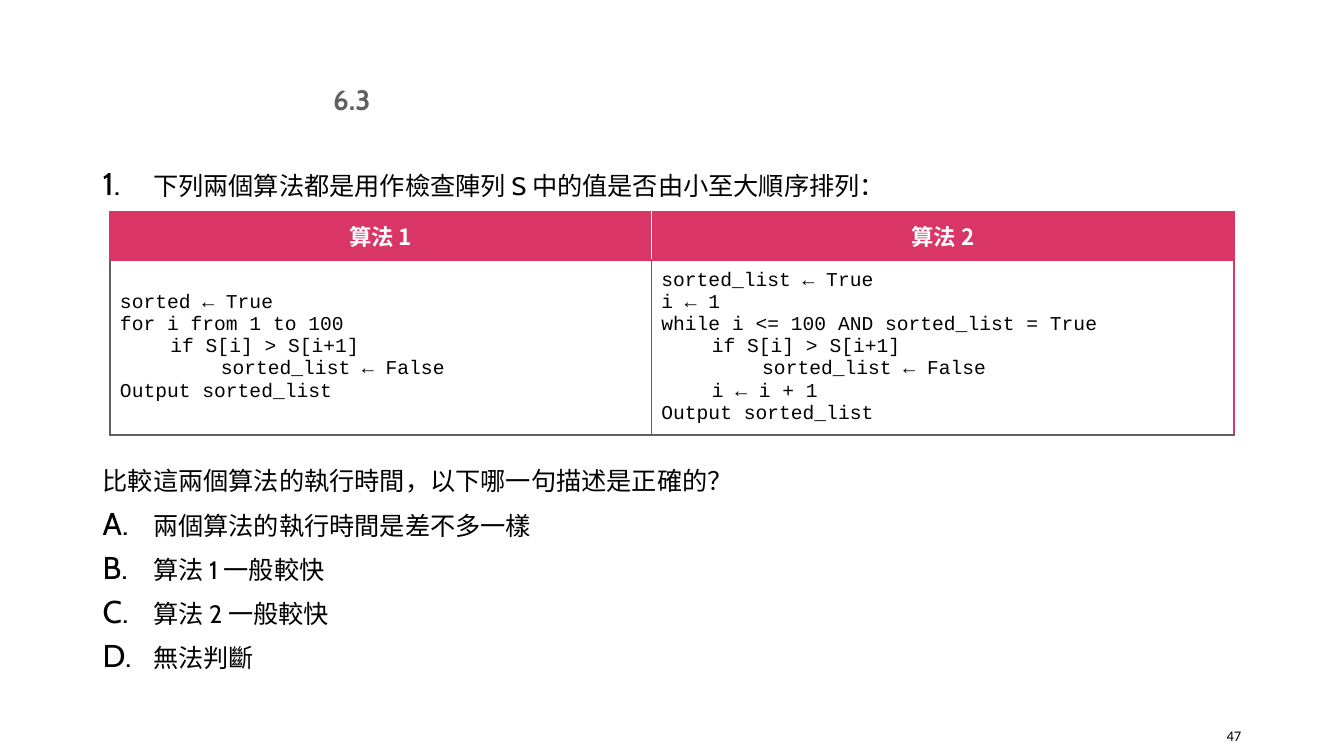
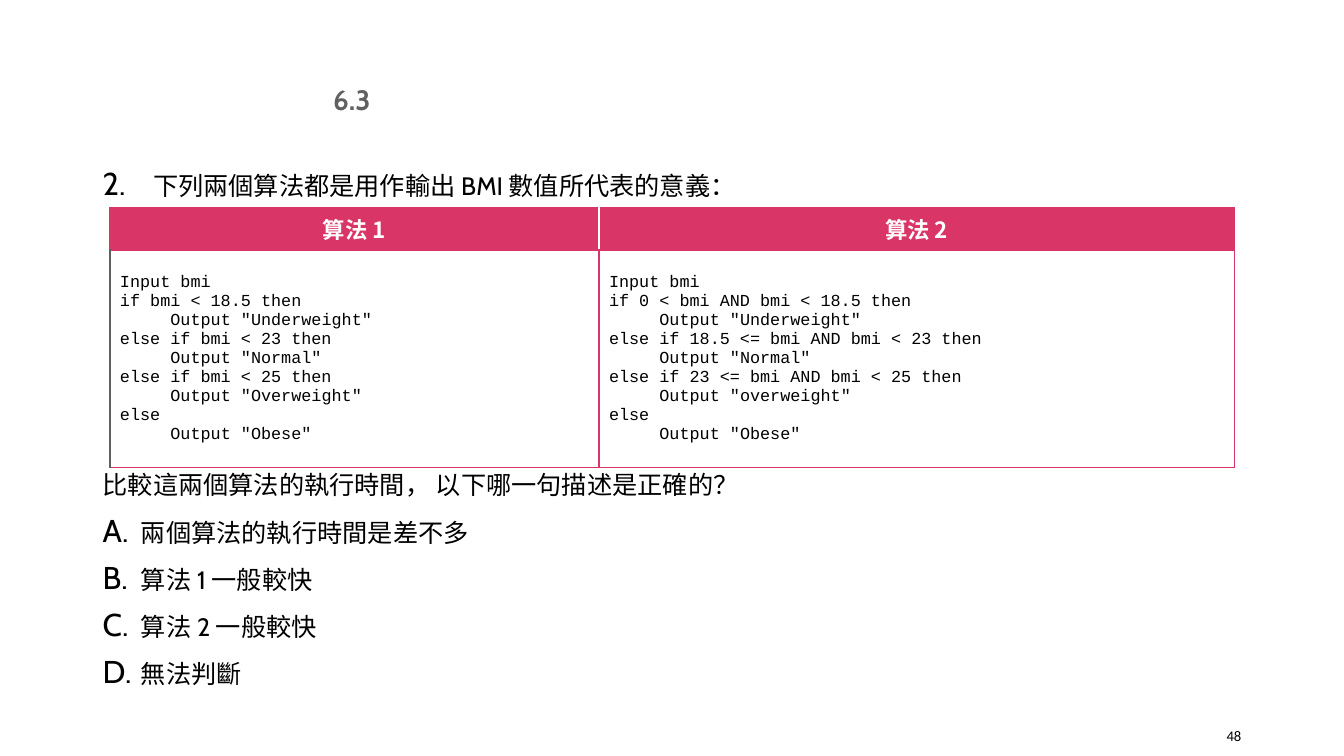
from dataclasses import dataclass

from lxml import etree
from pptx import Presentation
from pptx.dml.color import RGBColor
from pptx.enum import text as text_enum
from pptx.oxml import ns
from pptx.util import Inches, Pt

PINK, GREY, BLACK, WHITE = "D93567", "606060", "000000", "FFFFFF"
BODY_FONT, CODE_FONT, NUMBER_FONT = "Cabin", "Courier New", "Calibri"
CJK_FONT = "Noto Sans CJK TC"
SECTION = "6.3"
HEADINGS = ("算法 1", "算法 2")
ALIGN = text_enum.PP_ALIGN
MIDDLE = text_enum.MSO_ANCHOR.MIDDLE
TEXT_LEFT, TEXT_WIDTH = 0.92, 11.5
TABLE_LEFT = 1.09


@dataclass
class Question:
    number: int
    page: int
    stem: str
    prompt: str
    options: list[str]
    code: tuple[str, str]
    code_size: float
    table_top: float
    columns: tuple[float, float]
    rows: tuple[float, float]
    middle_color: str
    bottom_color: str
    prompt_top: float
    option_indent: float
    option_spacing: float


QUESTIONS = [
    Question(
        number=1, page=47,
        stem="下列兩個算法都是用作檢查陣列 S 中的值是否由小至大順序排列：",
        prompt="比較這兩個算法的執行時間，以下哪一句描述是正確的？",
        options=["兩個算法的執行時間是差不多一樣", "算法 1 一般較快",
                 "算法 2 一般較快", "無法判斷"],
        code=("""sorted ← True
for i from 1 to 100
\tif S[i] > S[i+1]
\t\tsorted_list ← False
Output sorted_list""",
              """sorted_list ← True
i ← 1
while i <= 100 AND sorted_list = True
\tif S[i] > S[i+1]
\t\tsorted_list ← False
\ti ← i + 1
Output sorted_list"""),
        code_size=14, table_top=2.1, columns=(5.37, 5.78), rows=(0.48, 1.67),
        middle_color=GREY, bottom_color=GREY,
        prompt_top=4.57, option_indent=0.5, option_spacing=1.0,
    ),
    Question(
        number=2, page=48,
        stem="下列兩個算法都是用作輸出 BMI 數值所代表的意義：",
        prompt="比較這兩個算法的執行時間， 以下哪一句描述是正確的？",
        options=["兩個算法的執行時間是差不多", "算法 1 一般較快",
                 "算法 2 一般較快", "無法判斷"],
        code=("""Input bmi
if bmi < 18.5 then
\tOutput "Underweight"
else if bmi < 23 then
\tOutput "Normal"
else if bmi < 25 then
\tOutput "Overweight"
else
\tOutput "Obese\"""",
              """Input bmi
if 0 < bmi AND bmi < 18.5 then
\tOutput "Underweight"
else if 18.5 <= bmi AND bmi < 23 then
\tOutput "Normal"
else if 23 <= bmi AND bmi < 25 then
\tOutput "overweight"
else
\tOutput "Obese\""""),
        code_size=12, table_top=2.06, columns=(4.85, 6.3), rows=(0.42, 2.16),
        middle_color=PINK, bottom_color=PINK,
        prompt_top=4.58, option_indent=0.38, option_spacing=1.1,
    ),
]


def rgb(color: str) -> RGBColor:
    return RGBColor.from_string(color)


def add_element(parent, tag: str, **attributes: str):
    element = etree.SubElement(parent, ns.qn(tag))
    for name, value in attributes.items():
        element.set(name, value)
    return element


def format_runs(paragraph, font: str, size: float, color: str, bold: bool = False) -> None:
    for run in paragraph.runs:
        run.font.size = Pt(size)
        run.font.bold = bold
        run.font.color.rgb = rgb(color)
        run.font.name = font
        add_element(run.font._element, "a:ea", typeface=font)


def number_paragraph(paragraph, scheme: str, indent: float, start: int = 1) -> None:
    """Give a paragraph an automatic number with a hanging indent."""
    properties = paragraph._p.get_or_add_pPr()
    properties.set("marL", str(Inches(indent)))
    properties.set("indent", str(-Inches(indent)))
    add_element(properties, "a:buSzPct", val="125000")
    add_element(properties, "a:buFont", typeface=CJK_FONT)
    numbering = add_element(properties, "a:buAutoNum", type=scheme)
    if start > 1:
        numbering.set("startAt", str(start))


def add_text(slide, left: float, top: float, width: float, height: float, content: str):
    box = slide.shapes.add_textbox(Inches(left), Inches(top), Inches(width), Inches(height))
    box.text_frame.word_wrap = True
    box.text_frame.text = content
    return box.text_frame


def add_label(slide, left: float, top: float, width: float, height: float, content: str,
              alignment, font: str, size: float, color: str, bold: bool = False) -> None:
    frame = add_text(slide, left, top, width, height, content)
    frame.vertical_anchor = MIDDLE
    frame.paragraphs[0].alignment = alignment
    format_runs(frame.paragraphs[0], font, size, color, bold)


def add_stem(slide, question: Question) -> None:
    frame = add_text(slide, TEXT_LEFT, 1.58, TEXT_WIDTH, 0.5, question.stem)
    paragraph = frame.paragraphs[0]
    number_paragraph(paragraph, "arabicPeriod", 0.5, question.number)
    paragraph.line_spacing = 1.2
    format_runs(paragraph, BODY_FONT, 18, BLACK)


def add_options(slide, question: Question) -> None:
    lines = [question.prompt, *question.options]
    frame = add_text(slide, TEXT_LEFT, question.prompt_top, TEXT_WIDTH, 2.32, "\n".join(lines))
    for index, paragraph in enumerate(frame.paragraphs):
        if index:
            number_paragraph(paragraph, "alphaUcPeriod", question.option_indent)
            paragraph.space_before = Pt(10)
        paragraph.line_spacing = question.option_spacing
        format_runs(paragraph, BODY_FONT, 18, BLACK)


def set_borders(cell, left: str, right: str, top: str, bottom: str) -> None:
    properties = cell._tc.get_or_add_tcPr()
    sides = (("a:lnL", left), ("a:lnR", right), ("a:lnT", top), ("a:lnB", bottom))
    for position, (tag, color) in enumerate(sides):
        line = add_element(properties, tag, w=str(Pt(1)))
        add_element(add_element(line, "a:solidFill"), "a:srgbClr", val=color)
        properties.insert(position, line)


def add_algorithms(slide, question: Question) -> None:
    table = slide.shapes.add_table(
        2, 2, Inches(TABLE_LEFT), Inches(question.table_top),
        Inches(sum(question.columns)), Inches(sum(question.rows))).table
    table.first_row = table.horz_banding = False
    for row, height in zip(table.rows, question.rows):
        row.height = Inches(height)
    for index, width in enumerate(question.columns):
        table.columns[index].width = Inches(width)

        heading = table.cell(0, index)
        heading.text_frame.text = HEADINGS[index]
        heading.vertical_anchor = MIDDLE
        heading.fill.solid()
        heading.fill.fore_color.rgb = rgb(PINK)
        paragraph = heading.text_frame.paragraphs[0]
        paragraph.alignment = ALIGN.CENTER
        format_runs(paragraph, CJK_FONT, 16, WHITE, bold=True)
        set_borders(heading, *((PINK, WHITE), (WHITE, PINK))[index], PINK, PINK)

        listing = table.cell(1, index)
        listing.text_frame.text = question.code[index]
        listing.vertical_anchor = MIDDLE
        listing.fill.background()
        for paragraph in listing.text_frame.paragraphs:
            format_runs(paragraph, CODE_FONT, question.code_size, BLACK)
        edges = (GREY, question.middle_color, PINK)
        set_borders(listing, edges[index], edges[index + 1], PINK, question.bottom_color)


def add_question(presentation, question: Question) -> None:
    slide = presentation.slides.add_slide(presentation.slide_layouts[6])
    add_stem(slide, question)
    add_options(slide, question)
    add_label(slide, 11.57, 7.1, 0.84, 0.4, str(question.page),
              ALIGN.RIGHT, NUMBER_FONT, 10.5, BLACK)
    add_label(slide, 3.02, 0.83, 0.94, 0.31, SECTION,
              ALIGN.CENTER, BODY_FONT, 20, GREY, bold=True)
    add_algorithms(slide, question)


def main() -> None:
    presentation = Presentation()
    presentation.slide_width = Inches(13.33)
    presentation.slide_height = Inches(7.5)
    for question in QUESTIONS:
        add_question(presentation, question)
    presentation.save("out.pptx")


if __name__ == "__main__":
    main()
